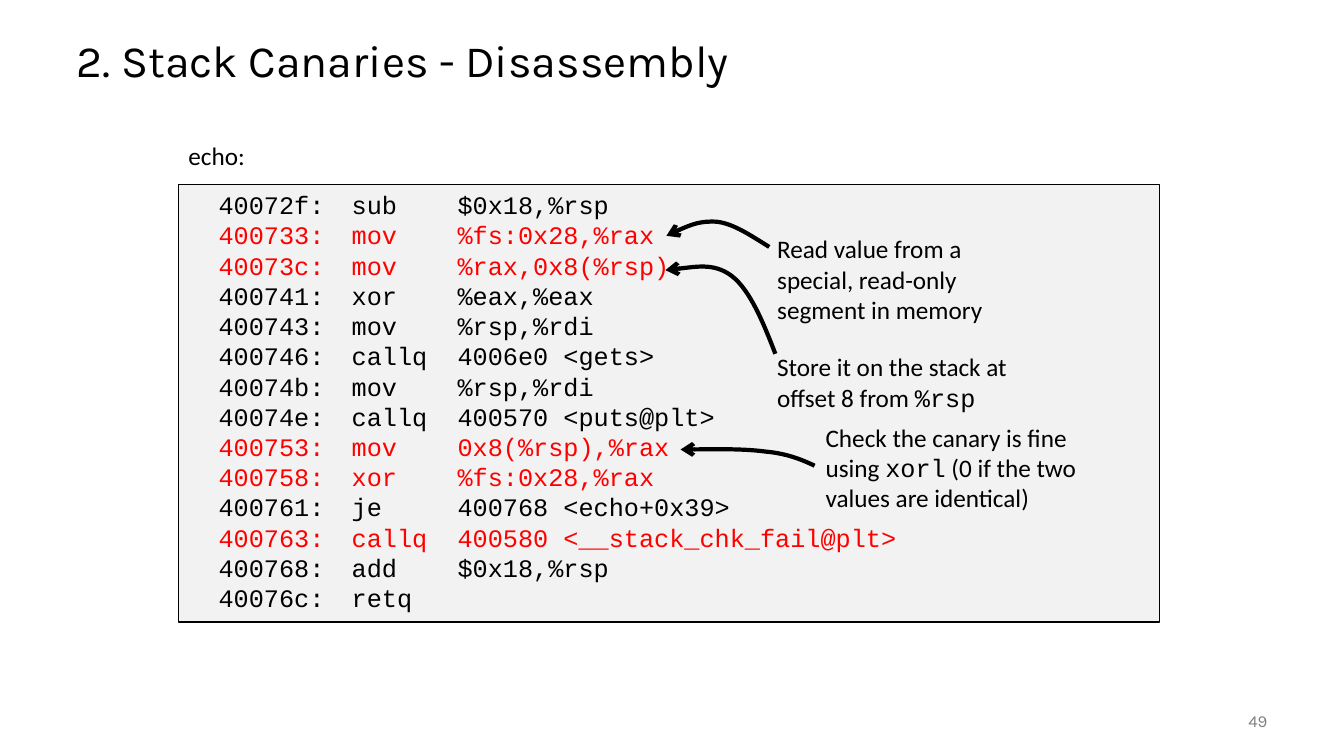
from lxml import etree
from pptx import Presentation
from pptx import util as u
from pptx.dml.color import RGBColor
from pptx.enum import shapes, text
from pptx.oxml import ns

BLACK = RGBColor(0x00, 0x00, 0x00)
RED = RGBColor(0xFF, 0x00, 0x00)
GRAY = RGBColor(0x80, 0x80, 0x80)
PANEL = RGBColor(0xF2, 0xF2, 0xF2)

HEADING, BODY, CODE = "Karla", "Calibri", "Courier New"
TAB_STOPS = (0.5, 1.62, 4.12, 4.31)

DISASSEMBLY = """\
  40072f:\tsub    $0x18,%rsp
  400733:\tmov    %fs:0x28,%rax
  40073c:\tmov    %rax,0x8(%rsp)
  400741:\txor    %eax,%eax
  400743:\tmov    %rsp,%rdi
  400746:\tcallq  4006e0 <gets>
  40074b:\tmov    %rsp,%rdi
  40074e:\tcallq  400570 <puts@plt>
  400753:\tmov    0x8(%rsp),%rax
  400758:\txor    %fs:0x28,%rax
  400761:\tje     400768 <echo+0x39>
  400763:\tcallq  400580 <__stack_chk_fail@plt>
  400768:\tadd    $0x18,%rsp
  40076c:\tretq"""
CANARY_ADDRESSES = ("400733", "40073c", "400753", "400758", "400763")

NOTES = [
    ((7.61, 2.27, 2.33, 1.01),
     [("Read value from a special, read-only segment in memory", BODY)],
     [(7.63, 2.45), (7.45, 2.34), (7.28, 2.22), (7.11, 2.2),
      (6.94, 2.19), (6.77, 2.26), (6.61, 2.34)]),
    ((7.61, 3.44, 2.52, 0.71),
     [("Store it on the stack at offset 8 from ", BODY), ("%rsp", CODE)],
     [(7.69, 3.51), (7.57, 3.2), (7.44, 2.88), (7.26, 2.74),
      (7.08, 2.6), (6.6, 2.68), (6.6, 2.68)]),
    ((8.09, 4.14, 3.14, 1.01),
     [("Check the canary is fine using ", BODY), ("xorl", CODE),
      (" (0 if the two values are identical)", BODY)],
     [(8.08, 4.62), (7.95, 4.56), (7.81, 4.5), (7.59, 4.48),
      (7.37, 4.45), (6.75, 4.46), (6.75, 4.46)]),
]


class SlideBuilder:
    def __init__(self, slide):
        self.slide = slide

    def style(self, run, font, size=18, color=BLACK):
        run.font.name = font
        run.font.size = u.Pt(size)
        run.font.color.rgb = color

    def title(self, wording, box):
        heading = self.slide.shapes.title
        heading.left, heading.top, heading.width, heading.height = map(u.Inches, box)
        frame = heading.text_frame
        frame.text = wording
        frame.auto_size = text.MSO_AUTO_SIZE.NONE
        frame.vertical_anchor = text.MSO_ANCHOR.MIDDLE
        line = frame.paragraphs[0]
        line.alignment = text.PP_ALIGN.LEFT
        line.line_spacing = 0.9
        self.style(line.runs[0], HEADING, 32)

    def label(self, pieces, box, size=18, color=BLACK, wrap=True):
        frame = self.slide.shapes.add_textbox(*map(u.Inches, box)).text_frame
        frame.word_wrap = wrap
        frame.auto_size = text.MSO_AUTO_SIZE.SHAPE_TO_FIT_TEXT
        for wording, font in pieces:
            run = frame.paragraphs[0].add_run()
            run.text = wording
            self.style(run, font, size, color)
        return frame

    def page_number(self, number, box):
        frame = self.label([(number, HEADING)], box, 12, GRAY)
        frame.auto_size = text.MSO_AUTO_SIZE.NONE
        frame.vertical_anchor = text.MSO_ANCHOR.MIDDLE
        frame.paragraphs[0].alignment = text.PP_ALIGN.RIGHT

    def code_panel(self, listing, highlighted, box):
        panel = self.slide.shapes.add_shape(
            shapes.MSO_SHAPE.RECTANGLE, *map(u.Inches, box))
        panel.shadow.inherit = False
        panel.fill.solid()
        panel.fill.fore_color.rgb = PANEL
        panel.line.color.rgb = BLACK
        panel.line.width = u.Pt(1)
        frame = panel.text_frame
        frame.text = listing
        frame.word_wrap = True
        frame.auto_size = text.MSO_AUTO_SIZE.SHAPE_TO_FIT_TEXT
        frame.vertical_anchor = text.MSO_ANCHOR.TOP
        for instruction in frame.paragraphs:
            instruction.alignment = text.PP_ALIGN.LEFT
            tabs = etree.SubElement(
                instruction._p.get_or_add_pPr(), ns.qn("a:tabLst"))
            for stop in TAB_STOPS:
                etree.SubElement(tabs, ns.qn("a:tab"),
                                 pos=str(u.Inches(stop)), algn="l")
            address = instruction.text.split(":")[0].strip()
            color = RED if address in highlighted else BLACK
            for run in instruction.runs:
                self.style(run, CODE, color=color)

    def curved_arrow(self, points):
        start, *rest = [(u.Inches(x), u.Inches(y)) for x, y in points]
        builder = self.slide.shapes.build_freeform(*start)
        builder.add_line_segments(rest, close=False)
        arrow = builder.convert_to_shape()
        arrow.shadow.inherit = False
        arrow.fill.background()
        arrow.line.color.rgb = BLACK
        arrow.line.width = u.Pt(3)
        etree.SubElement(arrow.line._get_or_add_ln(), ns.qn("a:tailEnd"), type="arrow")
        outline = arrow._element.spPr.find(".//" + ns.qn("a:path"))
        segments = outline.findall(ns.qn("a:lnTo"))
        for first in range(0, len(segments), 3):
            curve = etree.SubElement(outline, ns.qn("a:cubicBezTo"))
            for segment in segments[first:first + 3]:
                curve.append(segment[0])
                outline.remove(segment)


def main():
    deck = Presentation()
    deck.slide_width, deck.slide_height = u.Inches(13.33), u.Inches(7.5)
    page = SlideBuilder(deck.slides.add_slide(deck.slide_layouts[5]))
    page.title("2. Stack Canaries - Disassembly", (0.66, 0.25, 12, 0.75))
    page.code_panel(DISASSEMBLY, CANARY_ADDRESSES, (1.77, 1.83, 9.73, 4.34))
    page.label([("echo:", BODY)], (1.77, 1.34, 0.77, 0.4), wrap=False)
    for box, pieces, curve in NOTES:
        page.label(pieces, box)
        page.curved_arrow(curve)
    page.page_number("49", (11.67, 6.95, 1, 0.4))
    deck.save("out.pptx")


if __name__ == "__main__":
    main()
